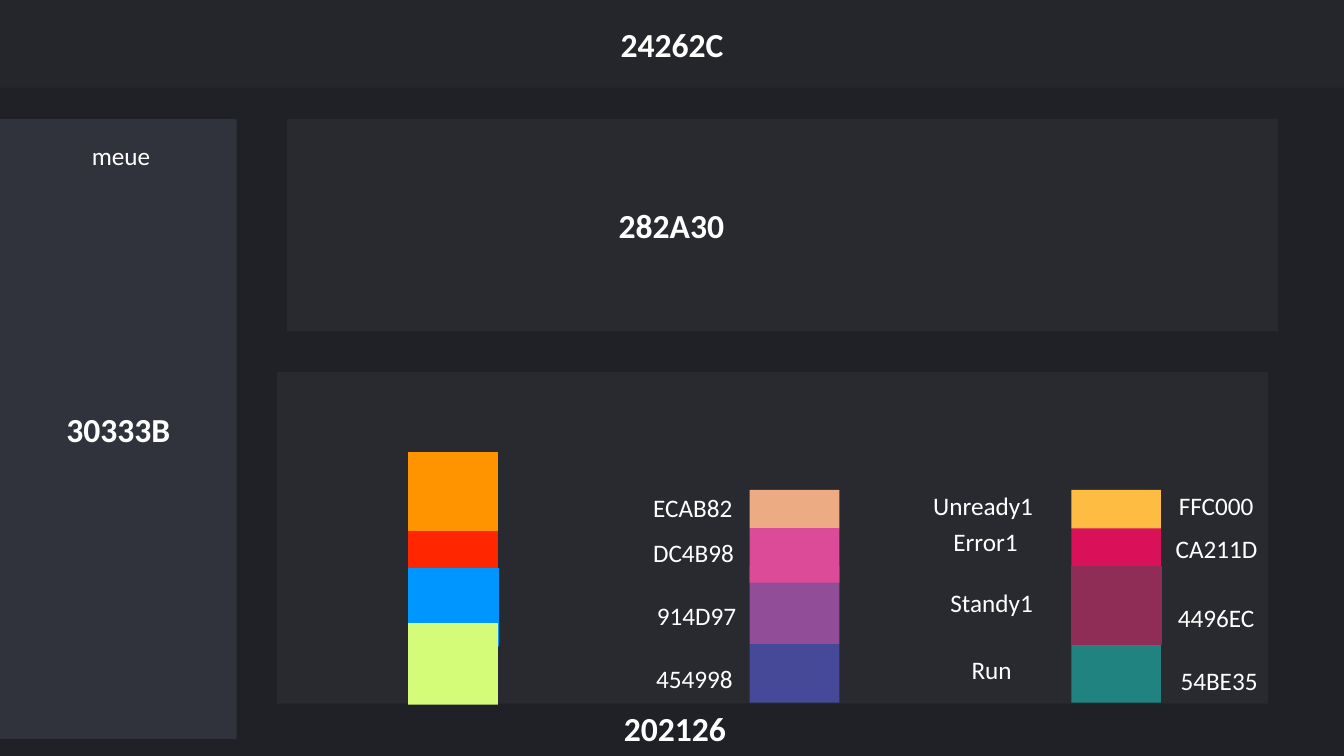
import pptx
import pptx.util
import pptx.dml.color
import pptx.enum.shapes
import pptx.enum.text

Pt = pptx.util.Pt
ALIGN = pptx.enum.text.PP_ALIGN

BACKGROUND = "202126"
WHITE = "FFFFFF"
FONT = "Calibri"
HEADING_SIZE, LABEL_SIZE = 24, 18
HEADING_HEIGHT, LABEL_HEIGHT = 36.3, 29.1
SWATCH_WIDTH = 64.1

panels = [
    ("24262C", 0, 0, 960, 62.6, "24262C"),
    ("30333B", 0, 85, 169, 442.8, "30333B"),
    ("282A30", 198, 265.7, 707.8, 236.9, ""),
    ("282A30", 205.2, 85, 707.8, 151.6, ""),
]

headings = [
    ("202126", 438.5, 501.8, 88),
    ("282A30", 434.9, 142.6, 95.8),
]

swatch_columns = [
    (291.6, [
        ("FF2600", 378.7, 27.4),
        ("0096FF", 406.1, 55.4),
        ("D5FC79", 445, 58.3),
        ("FF9300", 323, 56.2),
    ]),
    (535.5, [
        ("454998", 460.1, 41.8),
        ("914D97", 404.6, 55.4),
        ("ECAB82", 350, 27.4),
        ("DC4B98", 377.3, 38.9),
    ]),
    (765.2, [
        ("D81159", 377.3, 27.4),
        ("218380", 460.1, 41.8),
        ("8F2D56", 404.6, 55.4),
        ("FFBC42", 350, 27.4),
    ]),
]
outlined = {"0096FF", "8F2D56"}

label_groups = [
    (ALIGN.LEFT, [
        ("meue", 58.5, 96.5, 56.9),
    ]),
    (ALIGN.LEFT, [
        ("ECAB82", 459.4, 347.8, 71.3),
        ("DC4B98", 459.4, 380.2, 72.7),
        ("914D97", 462.2, 425, 71.3),
        ("454998", 461.5, 470, 71.3),
    ]),
    (ALIGN.LEFT, [
        ("Unready1", 659.5, 346.5, 86.4),
        ("Error1", 673.9, 372.2, 60.5),
        ("Standy1", 671.8, 416.2, 74.2),
        ("Run", 686.9, 463.7, 43.9),
    ]),
    (ALIGN.CENTER, [
        ("FFC000", 834.5, 346.5, 68.4),
        ("CA211D", 832.3, 377.3, 73.4),
        ("4496EC", 833.8, 427, 69.8),
        ("54BE35", 835.9, 471.6, 69.8),
    ]),
]


def color(value):
    return pptx.dml.color.RGBColor.from_string(value)


def write(shape, text, size, bold, alignment):
    paragraph = shape.text_frame.paragraphs[0]
    paragraph.alignment = alignment
    run = paragraph.add_run()
    run.text = text
    run.font.name = FONT
    run.font.size = Pt(size)
    run.font.bold = bold
    run.font.color.rgb = color(WHITE)


def add_rectangle(fill, left, top, width, height):
    shape = slide.shapes.add_shape(
        pptx.enum.shapes.MSO_SHAPE.RECTANGLE,
        Pt(left), Pt(top), Pt(width), Pt(height))
    shape.shadow.inherit = False
    shape.fill.solid()
    shape.fill.fore_color.rgb = color(fill)
    shape.line.fill.background()
    return shape


def add_text(text, left, top, width, height, size, bold, alignment):
    box = slide.shapes.add_textbox(Pt(left), Pt(top), Pt(width), Pt(height))
    box.text_frame.word_wrap = False
    box.text_frame.auto_size = pptx.enum.text.MSO_AUTO_SIZE.SHAPE_TO_FIT_TEXT
    write(box, text, size, bold, alignment)


presentation = pptx.Presentation()
presentation.slide_width = Pt(960)
presentation.slide_height = Pt(540)
slide = presentation.slides.add_slide(presentation.slide_layouts[6])
slide.background.fill.solid()
slide.background.fill.fore_color.rgb = color(BACKGROUND)

for fill, left, top, width, height, text in panels:
    panel = add_rectangle(fill, left, top, width, height)
    if text:
        panel.text_frame.vertical_anchor = pptx.enum.text.MSO_ANCHOR.MIDDLE
        write(panel, text, HEADING_SIZE, True, ALIGN.CENTER)

for text, left, top, width in headings:
    add_text(text, left, top, width, HEADING_HEIGHT, HEADING_SIZE, True, ALIGN.LEFT)

for left, swatches in swatch_columns:
    for fill, top, height in swatches:
        swatch = add_rectangle(fill, left, top, SWATCH_WIDTH, height)
        if fill in outlined:
            swatch.line.color.rgb = color(fill)
            swatch.line.width = Pt(1)

for alignment, labels in label_groups:
    for text, left, top, width in labels:
        add_text(text, left, top, width, LABEL_HEIGHT, LABEL_SIZE, False, alignment)

presentation.save("out.pptx")
